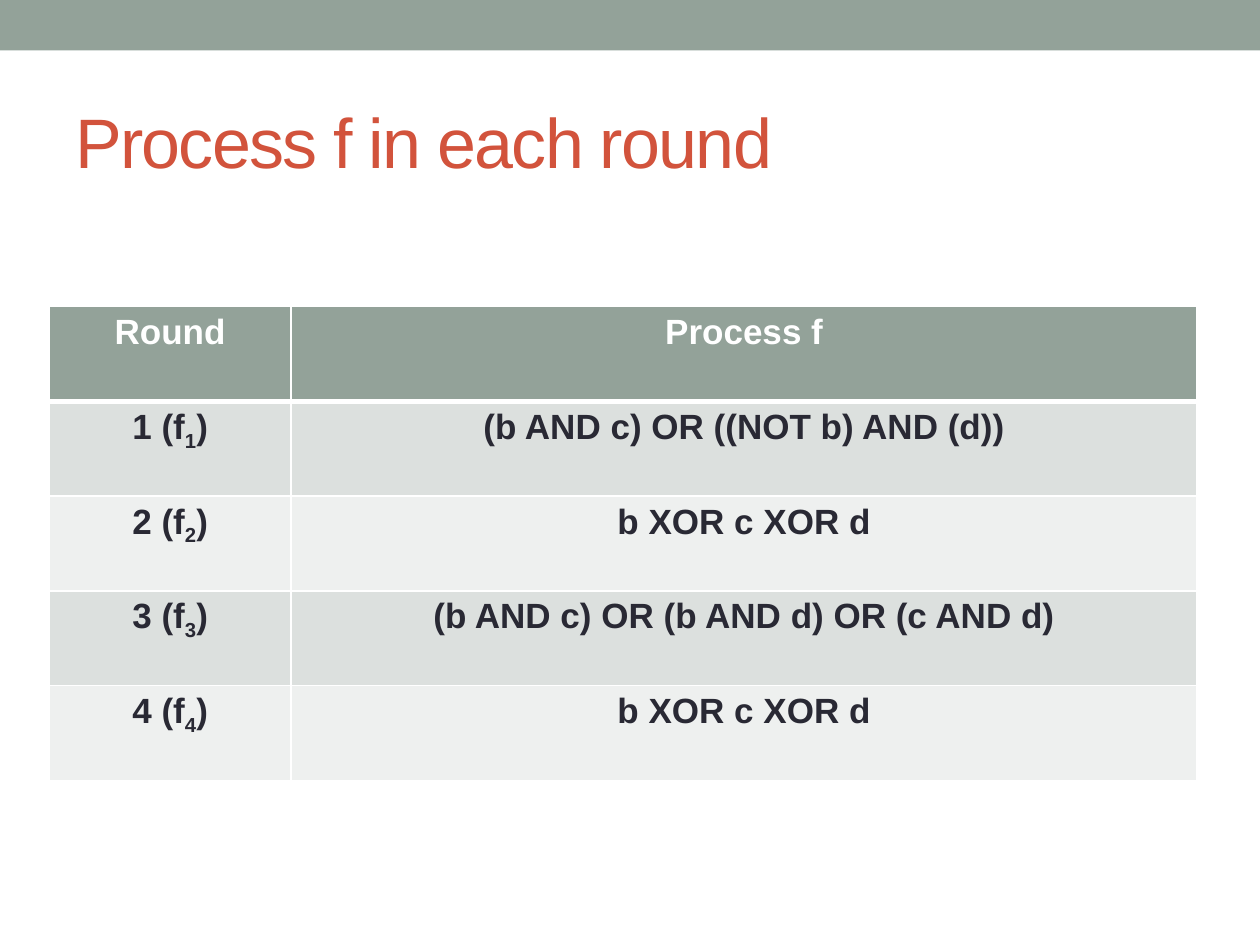
from lxml import etree
from pptx import Presentation
from pptx.dml.color import RGBColor
from pptx.enum.shapes import MSO_SHAPE
from pptx.enum.text import MSO_ANCHOR, PP_ALIGN
from pptx.oxml.ns import qn
from pptx.util import Cm, Pt

RECTANGLE = MSO_SHAPE.RECTANGLE
MIDDLE = MSO_ANCHOR.MIDDLE
CENTER = PP_ALIGN.CENTER
FONT = "Arial"
COLORS = {
    "sage": "93A299",
    "title": "D2533C",
    "text": "292934",
    "white": "FFFFFF",
    "odd_row": "DCE0DE",
    "even_row": "EEF0EF",
}
PROCESSES = [
    "(b AND c) OR ((NOT b) AND (d))",
    "b XOR c XOR d",
    "(b AND c) OR (b AND d) OR (c AND d)",
    "b XOR c XOR d",
]
COLUMN_WIDTHS = [Cm(4.88), Cm(18.26)]
ROW_HEIGHT = Cm(1.91)


def color(name):
    """Return the named palette colour."""
    return RGBColor.from_string(COLORS[name])


def add_run(paragraph, text, size, color_name, bold=False, **attributes):
    """Add a styled run with optional raw run attributes."""
    run = paragraph.add_run()
    run.text = text
    run.font.name = FONT
    run.font.size = Pt(size)
    run.font.bold = bold
    run.font.color.rgb = color(color_name)
    for name, value in attributes.items():
        run.font._element.set(name, value)


def add_band(slide, width):
    """Add the coloured band along the top edge."""
    band = slide.shapes.add_shape(RECTANGLE, 0, 0, width, Cm(1.02))
    band.shadow.inherit = False
    band.fill.solid()
    band.fill.fore_color.rgb = color("sage")
    band.line.fill.background()


def add_title(slide, text):
    """Add the slide title."""
    box = slide.shapes.add_textbox(Cm(1.27), Cm(1.47), Cm(22.86), Cm(2.74))
    frame = box.text_frame
    frame.word_wrap = True
    frame.vertical_anchor = MIDDLE
    add_run(frame.paragraphs[0], text, 40, "title", spc="-100")


def set_borders(cell, widths):
    """Draw white cell borders, given widths in points by side."""
    properties = cell._tc.get_or_add_tcPr()
    for index, (side, width) in enumerate(widths.items()):
        line = etree.Element(qn(f"a:ln{side}"), w=str(Pt(width)))
        fill = etree.SubElement(line, qn("a:solidFill"))
        etree.SubElement(fill, qn("a:srgbClr"), val=COLORS["white"])
        properties.insert(index, line)


def fill_cell(cell, pieces, fill_name, color_name, top, bottom):
    """Fill a cell with centred (text, attributes) pieces."""
    cell.fill.solid()
    cell.fill.fore_color.rgb = color(fill_name)
    set_borders(cell, {"L": 1, "R": 1, "T": top, "B": bottom})
    paragraph = cell.text_frame.paragraphs[0]
    paragraph.alignment = CENTER
    for text, attributes in pieces:
        add_run(paragraph, text, 20, color_name, True, **attributes)


def add_process_table(slide):
    """Add the table of rounds and their processes."""
    rows = [[[("Round", {})], [("Process f", {})]]]
    for number, process in enumerate(PROCESSES, 1):
        label = [(f"{number} (f", {}), (str(number), {"baseline": "-25000"}), (")", {})]
        rows.append([label, [(process, {})]])
    table = slide.shapes.add_table(
        len(rows), len(COLUMN_WIDTHS), Cm(0.99), Cm(6.18),
        sum(COLUMN_WIDTHS), ROW_HEIGHT * len(rows),
    ).table
    for column, width in zip(table.columns, COLUMN_WIDTHS):
        column.width = width
    for index, row in enumerate(rows):
        table.rows[index].height = ROW_HEIGHT
        if index == 0:
            style = ("sage", "white", 1, 3)
        else:
            fill_name = "odd_row" if index % 2 else "even_row"
            style = (fill_name, "text", 3 if index == 1 else 1, 1)
        for column_index, pieces in enumerate(row):
            fill_cell(table.cell(index, column_index), pieces, *style)


def main():
    """Build and save the presentation."""
    presentation = Presentation()
    presentation.slide_width = Cm(25.4)
    presentation.slide_height = Cm(19.05)
    slide = presentation.slides.add_slide(presentation.slide_layouts[6])
    add_band(slide, presentation.slide_width)
    add_title(slide, "Process f in each round")
    add_process_table(slide)
    presentation.save("out.pptx")


if __name__ == "__main__":
    main()
